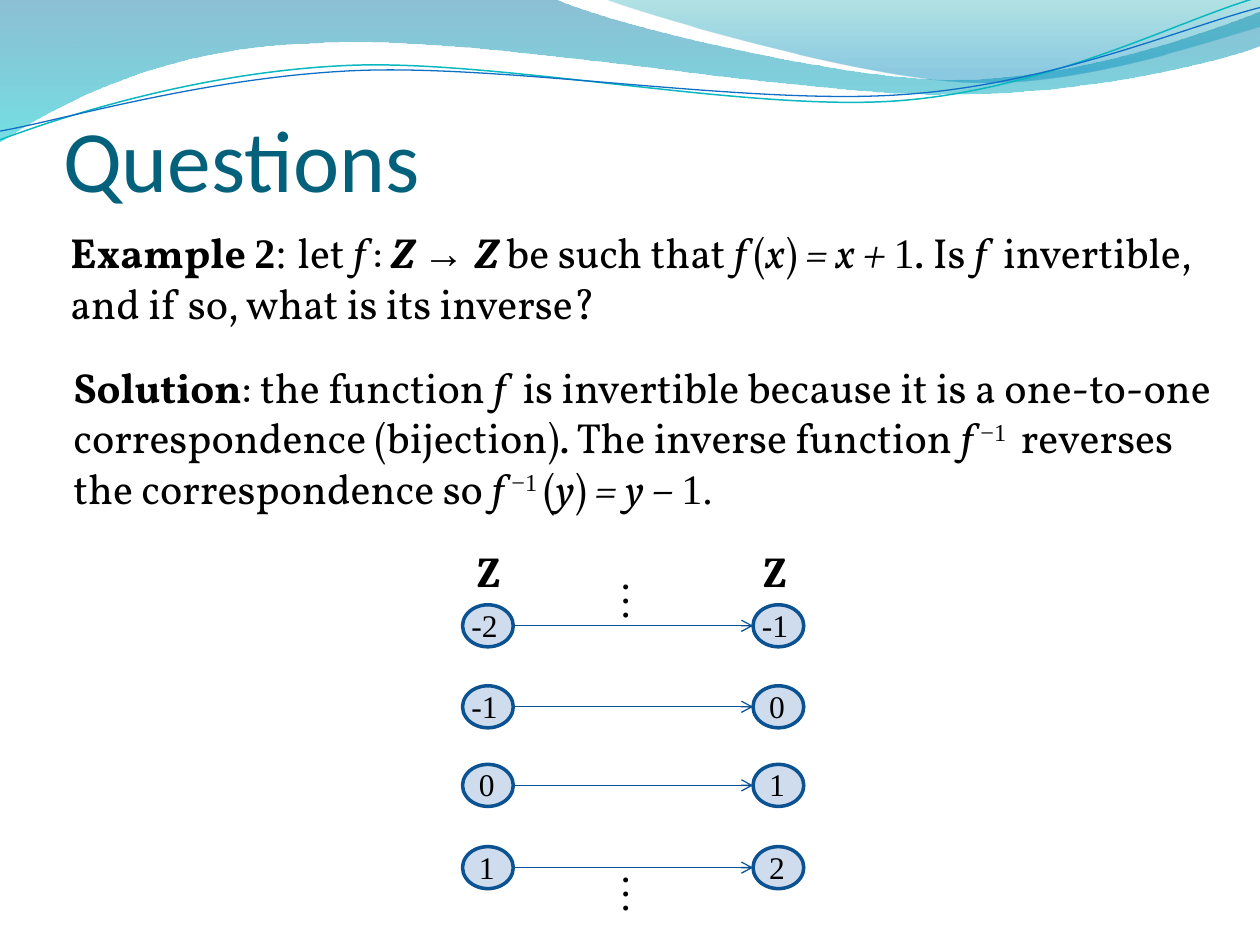
from dataclasses import dataclass

from lxml import etree
from pptx import Presentation
from pptx import util as u
from pptx.dml.color import RGBColor
from pptx.enum import shapes, text
from pptx.oxml.ns import qn


@dataclass(frozen=True)
class Theme:
    title: str = "04617B"
    ink: str = "000000"
    oval: str = "4F81BD"
    oval_line: str = "0B5292"
    arrow: str = "095295"
    heading: str = "Calibri"
    serif: str = "Vollkorn"
    roman: str = "Times New Roman"
    title_size: int = 50
    body_size: int = 24
    label_size: int = 18


theme = Theme()


def write(para, spans, size=theme.body_size, color=theme.ink):
    """Add (text, font, style) spans; style letters: b bold, i italic, ^ superscript."""
    for words, font, style in spans:
        span = para.add_run()
        span.text = words
        span.font.name = font
        span.font.size = u.Pt(size)
        span.font.color.rgb = RGBColor.from_string(color)
        span.font.bold = "b" in style
        span.font.italic = "i" in style
        if "^" in style:
            span._r.get_or_add_rPr().set("baseline", "30000")


def add_text(parent, left, top, width, height, spans, size=theme.body_size):
    box = parent.add_textbox(u.Pt(left), u.Pt(top), u.Pt(width), u.Pt(height))
    box.text_frame.word_wrap = True
    write(box.text_frame.paragraphs[0], spans, size)
    return box


deck = Presentation()
deck.slide_width, deck.slide_height = u.Pt(720), u.Pt(540)
page = deck.slides.add_slide(deck.slide_layouts[1])
title, body = page.placeholders[0], page.placeholders[1]

# Waves: a step of two numbers is a line, of six a Bezier curve.
# Filled waves carry gradient stops (position, colour, opacity); others a line.
waves = [
    ((0, 0),
     [(316.8, -0.7), (342.7, 12.2, 478.1, 45.4, 545.8, 45.4),
      (614.2, 45.4, 689.8, 18.7, 720, 6.5), (720.7, 25.9),
      (707.8, 31.7, 626.4, 54.7, 537.1, 54), (447.8, 54, 275, 20.2, 185, 24.5),
      (92.9, 25.9, 33.1, 59.8, -0.7, 81.4)],
     [(0, "0074A1", 45), (1, "00C6CF", 55)], None),
    ((344.9, -0.7),
     [(366.5, 7.9, 491, 44.6, 553.7, 46.8), (616.3, 49.7, 691.9, 23, 720, 15.1),
      (720, 0)],
     [(0, "00A1A9", 30), (0.8, "008BBF", 45)], None),
    ((0, 79.9),
     [(34.6, 67, 113.8, 41, 199.4, 37.4), (284.4, 33.8, 427, 64.1, 513.4, 57.6),
      (599.8, 51.1, 675.4, 10.8, 718.6, -1.4)],
     None, ("0AB8BF", 0.85)),
    ((0, 74.9),
     [(33.8, 69.1, 118.1, 43.9, 203.8, 40.3), (290.2, 36.7, 429.8, 60.5, 516.2, 54),
      (601.9, 48.2, 677.5, 15.1, 720, 4.3)],
     None, ("0F6FC6", 0.75)),
]
UNITS = 100  # outline units per point
for start, steps, stops, stroke in waves:
    points = [(round(x * UNITS), round(y * UNITS))
              for step in steps for x, y in zip(step[::2], step[1::2])]
    outline = page.shapes.build_freeform(*(round(v * UNITS) for v in start),
                                         scale=u.Pt(1) / UNITS)
    outline.add_line_segments(points, close=stops is not None)
    wave = outline.convert_to_shape()
    # Join each run of three segments that belongs to a curve
    segments = iter(list(wave.element.iter(qn("a:lnTo"))))
    for step in steps:
        first = next(segments)
        if len(step) == 6:
            first.tag = qn("a:cubicBezTo")
            for _ in range(2):
                extra = next(segments)
                first.append(extra[0])
                extra.getparent().remove(extra)
    wave.shadow.inherit = False
    if stops:
        wave.fill.gradient()
        wave.fill.gradient_angle = 270
        for stop, (position, color, _) in zip(wave.fill.gradient_stops, stops):
            stop.position = position
            stop.color.rgb = RGBColor.from_string(color)
        for tint, (_, _, opacity) in zip(wave.element.iter(qn("a:srgbClr")), stops):
            etree.SubElement(tint, qn("a:alpha")).set("val", str(opacity * 1000))
        wave.line.fill.background()
    else:
        wave.fill.background()
        wave.line.color.rgb = RGBColor.from_string(stroke[0])
        wave.line.width = u.Pt(stroke[1])
    title.element.addprevious(wave.element)

# Title
title.left, title.top, title.width, title.height = (u.Pt(v) for v in (36, 30, 648, 90))
frame = title.text_frame
frame.auto_size = text.MSO_AUTO_SIZE.NONE
frame.vertical_anchor = text.MSO_ANCHOR.BOTTOM
frame.margin_left = frame.margin_right = frame.margin_bottom = 0
frame.paragraphs[0].alignment = text.PP_ALIGN.LEFT
write(frame.paragraphs[0], [("Questions", theme.heading, "")],
      theme.title_size, theme.title)

# Example
body.left, body.top, body.width, body.height = (u.Pt(v) for v in (33, 126, 678, 346))
body.text_frame.auto_size = text.MSO_AUTO_SIZE.NONE
para = body.text_frame.paragraphs[0]
write(para, [
    ("Example ", theme.serif, "b"), ("2", theme.roman, "b"), (": ", theme.roman, ""),
    ("let ", theme.serif, ""), ("f ", theme.serif, "i"), (": ", theme.serif, ""),
    ("Z ", theme.serif, "bi"), ("→ ", theme.roman, ""), ("Z ", theme.serif, "bi"),
    ("be such that ", theme.serif, ""), ("f ", theme.serif, "i"),
    ("(", theme.serif, ""), ("x", theme.serif, "i"), (")", theme.serif, ""),
    (" = x + ", theme.serif, "i"), ("1", theme.roman, ""),
    (". Is ", theme.serif, ""), ("f", theme.serif, "i"),
    ("  invertible, and if so, what is its inverse?", theme.serif, ""),
])
bullet = para._p.get_or_add_pPr()
bullet.set("marL", "0")
bullet.set("indent", "0")
etree.SubElement(bullet, qn("a:buNone"))

# Solution
add_text(page.shapes, 34.8, 203, 673.2, 94.3, [
    ("Solution", theme.serif, "b"), (": the function ", theme.serif, ""),
    ("f", theme.serif, "i"),
    ("  is invertible because it is a one-to-one correspondence (bijection). "
     "The inverse function ", theme.serif, ""),
    ("f ", theme.serif, "i"), ("−1 ", theme.roman, "^"),
    (" reverses the correspondence so ", theme.serif, ""),
    ("f ", theme.serif, "i"), ("−1 ", theme.roman, "^"),
    ("(", theme.serif, ""), ("y", theme.serif, "i"), (")", theme.serif, ""),
    (" = y – ", theme.serif, "i"), ("1.", theme.roman, ""),
])

# Mapping from Z to Z: each integer points to its successor
diagram = page.shapes.add_group_shape().shapes
COLUMNS = (264.3, 430.3)
ROW_TOPS = (345.6, 391.9, 436.8, 483.8)
OVAL_W, OVAL_H = 29, 24
for left in (264.8, 428.4):
    add_text(diagram, left, 308.2, 43, 36, [("Z", theme.serif, "b")])
for value, top in enumerate(ROW_TOPS, start=-2):
    for left, number in zip(COLUMNS, (value, value + 1)):
        oval = diagram.add_shape(shapes.MSO_SHAPE.FLOWCHART_CONNECTOR,
                                 u.Pt(left), u.Pt(top), u.Pt(OVAL_W), u.Pt(OVAL_H))
        oval.shadow.inherit = False
        oval.fill.solid()
        oval.fill.fore_color.rgb = RGBColor.from_string(theme.oval)
        tint = next(oval.element.iter(qn("a:srgbClr")))
        etree.SubElement(tint, qn("a:alpha")).set("val", "27000")
        oval.line.color.rgb = RGBColor.from_string(theme.oval_line)
        oval.line.width = u.Pt(2)
        shift, width = (-2, 36) if number < 0 else (2.2, 19)
        add_text(diagram, left + shift, top - 3, width, 29,
                 [(str(number), theme.roman, "")], theme.label_size)
    middle = u.Pt(top + OVAL_H / 2)
    arrow = diagram.add_connector(shapes.MSO_CONNECTOR.STRAIGHT,
                                  u.Pt(COLUMNS[0] + OVAL_W), middle,
                                  u.Pt(COLUMNS[1]), middle)
    arrow.line.color.rgb = RGBColor.from_string(theme.arrow)
    arrow.line.width = u.Pt(0.75)
    etree.SubElement(arrow.line._get_or_add_ln(), qn("a:tailEnd")).set("type", "arrow")
    etree.SubElement(arrow.element.spPr, qn("a:effectLst"))

# Continuation dots above and below the mapping
for top in (324.7, 491.8):
    dots = add_text(diagram, 348, top, 36, 36, [("…", theme.roman, "")])
    dots.rotation = 90

deck.save("out.pptx")
